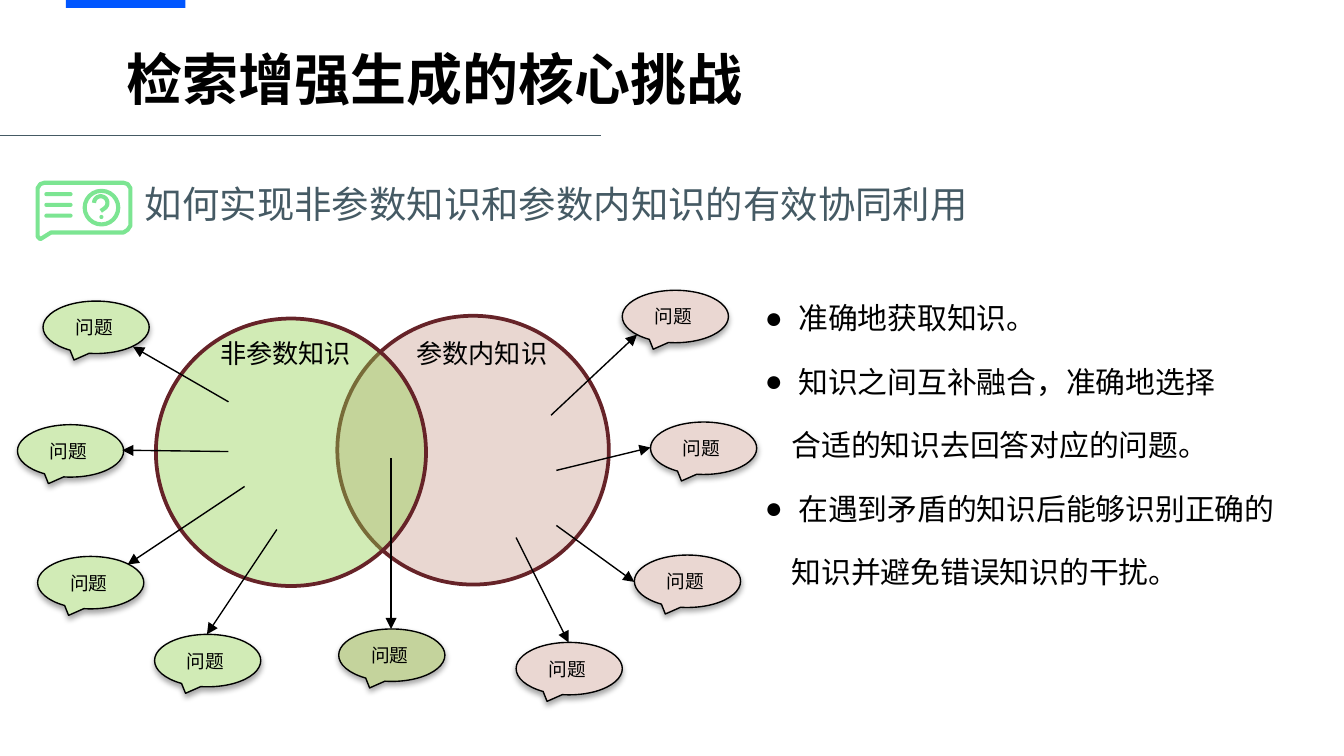
"""Build a slide on the core challenges of retrieval-augmented generation."""
from math import cos, radians, sin

from lxml import etree
from pptx import Presentation
from pptx.dml.color import RGBColor
from pptx.enum.shapes import MSO_CONNECTOR, MSO_SHAPE
from pptx.enum.text import MSO_ANCHOR, MSO_AUTO_SIZE, PP_ALIGN
from pptx.oxml.ns import qn
from pptx.util import Inches, Pt

OVAL, RECTANGLE = MSO_SHAPE.OVAL, MSO_SHAPE.RECTANGLE
ROUNDED, CALLOUT = MSO_SHAPE.ROUNDED_RECTANGLE, MSO_SHAPE.OVAL_CALLOUT
STRAIGHT = MSO_CONNECTOR.STRAIGHT
TOP, MIDDLE, BOTTOM = MSO_ANCHOR.TOP, MSO_ANCHOR.MIDDLE, MSO_ANCHOR.BOTTOM
LEFT, CENTER = PP_ALIGN.LEFT, PP_ALIGN.CENTER
NO_FIT = MSO_AUTO_SIZE.NONE

FONT, BULLET_FONT = "Noto Sans CJK SC", "Arial"
BLACK = RGBColor(0x00, 0x00, 0x00)
SLATE = RGBColor(0x45, 0x5A, 0x64)
BLUE = RGBColor(0x00, 0x56, 0xFF)
MINT = RGBColor(0x7C, 0xE5, 0x92)
MAROON = RGBColor(0x66, 0x23, 0x28)
ROSE = RGBColor(0xDE, 0xC1, 0xB8)
GREEN = RGBColor(0x92, 0xD0, 0x50)
PALE_GREEN = RGBColor(0xD1, 0xEB, 0xB6)
PALE_ROSE = RGBColor(0xEA, 0xD7, 0xD2)
OLIVE = RGBColor(0xC4, 0xD3, 0x9C)

TITLE = "检索增强生成的核心挑战"
SUBTITLE = "如何实现非参数知识和参数内知识的有效协同利用"
QUESTION = "问题 "
POINTS = [
    ("准确地获取知识。", True),
    ("知识之间互补融合，准确地选择", True),
    ("合适的知识去回答对应的问题。", False),
    ("在遇到矛盾的知识后能够识别正确的", True),
    ("知识并避免错误知识的干扰。", False),
]
CIRCLES = [
    ((2.51, 2.35, 2.02, 2), ROSE, 64),
    ((1.16, 2.37, 2.01, 1.99), GREEN, 42),
]
LABELS = [("参数内知识", 3), ("非参数知识", 1.54)]
CALLOUT_SIZE = (0.79, 0.39)
CALLOUTS = {
    PALE_GREEN: [
        ((0.13, 3.16), (1.7, 3.36), (0.91, 3.35)),
        ((0.28, 4.14), (1.82, 3.62), (0.95, 4.2)),
        ((1.15, 4.72), (2.06, 3.94), (1.54, 4.72)),
        ((0.32, 2.24), (1.7, 2.99), (0.99, 2.58)),
    ],
    PALE_ROSE: [
        ((3.84, 4.78), (3.84, 4), (4.23, 4.78)),
        ((4.72, 4.13), (4.14, 3.91), (4.72, 4.33)),
        ((4.84, 3.14), (4.14, 3.5), (4.84, 3.33)),
        ((4.63, 2.16), (4.1, 3.09), (4.74, 2.49)),
    ],
    OLIVE: [((2.52, 4.68), (2.91, 3.41), (2.91, 4.68))],
}
ICON_STROKE = 2.2
BUBBLE = [(0.33, 1.36), (0.92, 1.36), (0.95, 1.37), (0.97, 1.4), (0.97, 1.68),
          (0.95, 1.71), (0.92, 1.73), (0.38, 1.73), (0.3, 1.78), (0.28, 1.76),
          (0.28, 1.4), (0.3, 1.37)]
HOOK = [(0.75 + 0.05 * cos(radians(angle)), 1.51 + 0.05 * sin(radians(angle)))
        for angle in range(180, 421, 20)] + [(0.75, 1.57)]

presentation = Presentation()
presentation.slide_width = Inches(10)
presentation.slide_height = presentation.slide_width * 9 // 16
slide = presentation.slides.add_slide(presentation.slide_layouts[1])
shapes = slide.shapes


def inches(values):
    return [Inches(value) for value in values]


def child(parent, tag, **attributes):
    return etree.SubElement(parent, qn(tag), attributes)


def style_line(line, color, width):
    line.color.rgb = color
    line.width = Pt(width)


def paint(shape, fill, line):
    shape.shadow.inherit = False
    if fill is None:
        shape.fill.background()
    else:
        shape.fill.solid()
        shape.fill.fore_color.rgb = fill
    if line is None:
        shape.line.fill.background()
    else:
        style_line(shape.line, *line)


def add_shape(kind, box, fill=None, line=None):
    shape = shapes.add_shape(kind, *inches(box))
    paint(shape, fill, line)
    return shape


def add_line(start, end, color, arrow=False):
    line = shapes.add_connector(STRAIGHT, *inches(start + end))
    style_line(line.line, color, 0.75)
    properties = line._element.spPr
    if arrow:
        child(properties.find(qn("a:ln")), "a:tailEnd", type="triangle")
    child(properties, "a:effectLst")


def add_stroke(points, closed):
    (left, top), *rest = points
    builder = shapes.build_freeform(Inches(left), Inches(top))
    builder.add_line_segments([inches(point) for point in rest], close=closed)
    paint(builder.convert_to_shape(), None, (MINT, ICON_STROKE))


def write(paragraph, text, size, color=BLACK, bold=False, **layout):
    run = paragraph.add_run()
    run.text = text
    run.font.color.rgb = color
    for name, value in {"name": FONT, "size": Pt(size), "bold": bold}.items():
        setattr(run.font, name, value)
    child(run._r.rPr, "a:ea", typeface=FONT)
    for name, value in layout.items():
        setattr(paragraph, name, value)


def prepare(shape, box=None, anchor=TOP, margin=0.1):
    if box:
        shape.left, shape.top, shape.width, shape.height = inches(box)
    frame = shape.text_frame
    settings = {"word_wrap": True, "auto_size": NO_FIT, "vertical_anchor": anchor}
    sides = ("left", "top", "right", "bottom")
    settings.update({f"margin_{side}": Inches(margin) for side in sides})
    for name, value in settings.items():
        setattr(frame, name, value)
    return frame


def add_text(box, text, size, color=BLACK, **layout):
    frame = prepare(shapes.add_textbox(*inches(box)))
    write(frame.paragraphs[0], text, size, color, **layout)


def add_points(frame):
    for index, (text, bulleted) in enumerate(POINTS):
        paragraph = frame.add_paragraph() if index else frame.paragraphs[0]
        write(paragraph, text, 16, line_spacing=1.25 if index else 1.5,
              space_before=Pt(10 if index else 0))
        properties = paragraph._p.get_or_add_pPr()
        margin, indent = (0.25, -0.25) if bulleted else (0.2, 0)
        properties.set("marL", str(Inches(margin)))
        properties.set("indent", str(Inches(indent)))
        if bulleted:
            color = child(properties, "a:buClr")
            child(color, "a:srgbClr", val=str(BLACK))
            child(properties, "a:buFont", typeface=BULLET_FONT)
            child(properties, "a:buChar", char="●")
        else:
            child(properties, "a:buNone")


def add_callout(position, fill):
    shape = add_shape(CALLOUT, position + CALLOUT_SIZE, fill, (BLACK, 0.75))
    effects = shape._element.spPr.find(qn("a:effectLst"))
    shadow = child(effects, "a:outerShdw", blurRad=str(Pt(3.1)), dist=str(Pt(1.8)),
                   dir="5400000", rotWithShape="0")
    child(child(shadow, "a:srgbClr", val=str(BLACK)), "a:alpha", val="35000")
    frame = prepare(shape, anchor=MIDDLE, margin=0.05)
    write(frame.paragraphs[0], QUESTION, 10, alignment=CENTER)


add_line((0, 1.01), (4.47, 1.01), SLATE)
add_shape(RECTANGLE, (0.49, 0, 0.89, 0.06), BLUE)
title_frame = prepare(shapes.title, (0.84, 0.1, 6.3, 0.83), BOTTOM)
write(title_frame.paragraphs[0], TITLE, 30, bold=True, alignment=LEFT)
add_text((0.98, 1.25, 6.39, 0.53), SUBTITLE, 20, SLATE)
add_points(prepare(slide.placeholders[1], (5.59, 2, 4.13, 2.92)))

add_stroke(BUBBLE, True)
add_shape(OVAL, (0.63, 1.42, 0.25, 0.25), None, (MINT, ICON_STROKE))
add_stroke(HOOK, False)
add_shape(OVAL, (0.74, 1.6, 0.03, 0.03), MINT)
for row in range(3):
    bar = add_shape(ROUNDED, (0.33, 1.43 + 0.08 * row, 0.21, 0.03), MINT)
    bar.adjustments[0] = 0.5

for box, fill, opacity in CIRCLES:
    circle = add_shape(OVAL, box, fill, (MAROON, 2))
    color = circle._element.spPr.find(qn("a:solidFill"))[0]
    child(color, "a:alpha", val=str(opacity * 1000))
for text, left in LABELS:
    add_text((left, 2.29, 1.25, 0.72), text, 14, line_spacing=1.5)
for fill, callouts in CALLOUTS.items():
    for position, start, end in callouts:
        add_callout(position, fill)
        add_line(start, end, BLACK, arrow=True)

presentation.save("out.pptx")
